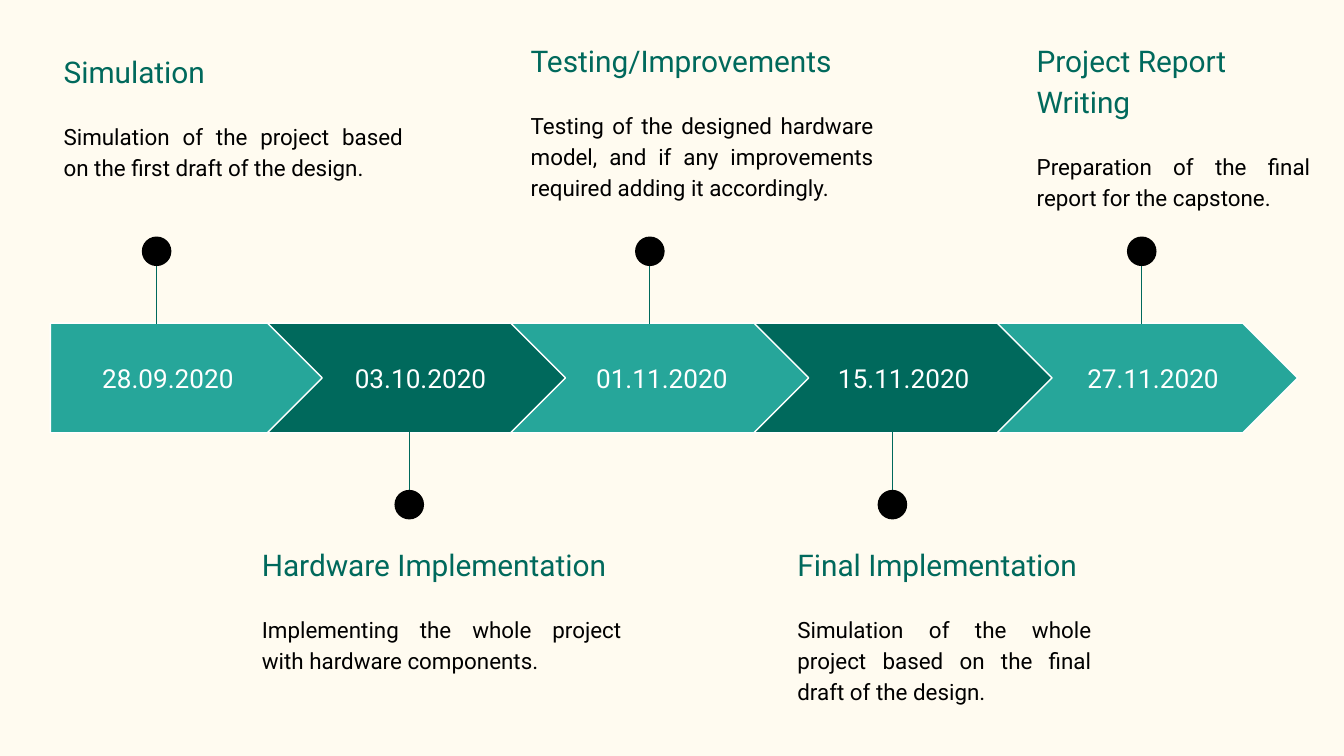
from dataclasses import dataclass

import pptx
import pptx.dml.color
import pptx.enum.shapes
import pptx.enum.text
import pptx.oxml.ns
import pptx.slide
import pptx.text.text
import pptx.util
from lxml import etree

RGBColor = pptx.dml.color.RGBColor
Shape = pptx.enum.shapes.MSO_SHAPE
Align = pptx.enum.text.PP_ALIGN
Anchor = pptx.enum.text.MSO_ANCHOR

CREAM = RGBColor(0xFF, 0xFB, 0xF0)
LIGHT_TEAL = RGBColor(0x26, 0xA6, 0x9A)
DARK_TEAL = RGBColor(0x00, 0x69, 0x5C)
WHITE = RGBColor(0xFF, 0xFF, 0xFF)
BLACK = RGBColor(0x00, 0x00, 0x00)

FONT = "Roboto"
EMU_PER_PX = 4572  # 200 px to the inch
PAGE_WIDTH, PAGE_HEIGHT = 2000, 1125

# Arrow band: each arrow is one step to the right of the last
BAND_LEFT, BAND_TOP, BAND_HEIGHT = 75, 481, 163
ARROW_LEFT, ARROW_WIDTH, ARROW_STEP = 36, 447, 362
DATE_TOP, DATE_WIDTH, DATE_HEIGHT = 512, 288, 102
DOT_SIZE = 44
TEXT_MARGIN = 20


@dataclass(frozen=True)
class Milestone:
    date: str
    date_left: int
    pin_x: int
    heading: str
    detail: str
    note: tuple[int, int, int, int]  # left, top, width, height


MILESTONES = [
    Milestone("28.09.2020", 106, 233, "Simulation",
              "Simulation of the project based on the first draft of the design.",
              (75, 52, 545, 280)),
    Milestone("03.10.2020", 482, 609, "Hardware Implementation",
              "Implementing the whole project with hardware components.",
              (370, 785, 575, 296)),
    Milestone("01.11.2020", 841, 967, "Testing/Improvements",
              "Testing of the designed hardware model, and if any improvements "
              "required adding it accordingly.",
              (770, 36, 550, 280)),
    Milestone("15.11.2020", 1201, 1328, "Final Implementation",
              "Simulation of the whole project based on the final draft of the design.",
              (1167, 785, 477, 280)),
    Milestone("27.11.2020", 1572, 1699, "Project Report Writing",
              "Preparation of the final report for the capstone.",
              (1523, 35, 447, 310)),
]


def px(*lengths: int) -> list[pptx.util.Emu]:
    return [pptx.util.Emu(length * EMU_PER_PX) for length in lengths]


def add_text_frame(page: pptx.slide.Slide, left: int, top: int, width: int,
                   height: int) -> pptx.text.text.TextFrame:
    frame = page.shapes.add_textbox(*px(left, top, width, height)).text_frame
    frame.word_wrap = True
    frame.margin_left, frame.margin_top, frame.margin_right, frame.margin_bottom = px(
        *[TEXT_MARGIN] * 4)
    return frame


def write(para: pptx.text.text._Paragraph, text: str, size: int, color: RGBColor,
          align: Align) -> None:
    para.text = text
    para.alignment = align
    font = para.runs[0].font
    font.name = FONT
    font.size = pptx.util.Pt(size)
    font.color.rgb = color


def add_arrow(page: pptx.slide.Slide, index: int) -> None:
    left = ARROW_LEFT + index * ARROW_STEP
    right = left + ARROW_WIDTH
    kind = Shape.CHEVRON
    if index == 0:
        left, kind = BAND_LEFT, Shape.PENTAGON
    arrow = page.shapes.add_shape(kind, *px(left, BAND_TOP, right - left, BAND_HEIGHT))
    arrow.shadow.inherit = False
    arrow.fill.solid()
    arrow.fill.fore_color.rgb = DARK_TEAL if index % 2 else LIGHT_TEAL
    arrow.line.color.rgb = WHITE
    arrow.line.width = pptx.util.Pt(0.75)


def add_date(page: pptx.slide.Slide, milestone: Milestone) -> None:
    frame = add_text_frame(page, milestone.date_left, DATE_TOP, DATE_WIDTH, DATE_HEIGHT)
    frame.vertical_anchor = Anchor.MIDDLE
    write(frame.paragraphs[0], milestone.date, 14, WHITE, Align.CENTER)


def add_pin(page: pptx.slide.Slide, x: int, below: bool) -> None:
    start, end, dot_top = (764, 643, 729) if below else (360, 482, 352)
    stem = page.shapes.add_connector(pptx.enum.shapes.MSO_CONNECTOR.STRAIGHT,
                                     *px(x, start, x, end))
    stem.line.color.rgb = DARK_TEAL
    stem.line.width = pptx.util.Pt(0.75)
    etree.SubElement(stem._element.spPr, pptx.oxml.ns.qn("a:effectLst"))
    dot = page.shapes.add_shape(Shape.OVAL, *px(x - DOT_SIZE // 2, dot_top, DOT_SIZE, DOT_SIZE))
    dot.shadow.inherit = False
    dot.fill.solid()
    dot.fill.fore_color.rgb = BLACK
    dot.line.fill.background()


def add_note(page: pptx.slide.Slide, milestone: Milestone) -> None:
    frame = add_text_frame(page, *milestone.note)
    heading, detail = frame.paragraphs[0], frame.add_paragraph()
    write(heading, milestone.heading, 16, DARK_TEAL, Align.LEFT)
    write(detail, milestone.detail, 12, BLACK, Align.JUSTIFY)
    heading.line_spacing = detail.line_spacing = 1.15
    detail.space_before = detail.space_after = pptx.util.Pt(16)


def main() -> None:
    deck = pptx.Presentation()
    deck.slide_width, deck.slide_height = px(PAGE_WIDTH, PAGE_HEIGHT)
    page = deck.slides.add_slide(deck.slide_layouts[6])
    page.background.fill.solid()
    page.background.fill.fore_color.rgb = CREAM

    # Notes alternate above and below the arrow band
    for index, milestone in enumerate(MILESTONES):
        add_arrow(page, index)
        add_date(page, milestone)
        add_pin(page, milestone.pin_x, below=index % 2 == 1)
        add_note(page, milestone)

    deck.save("out.pptx")


if __name__ == "__main__":
    main()
